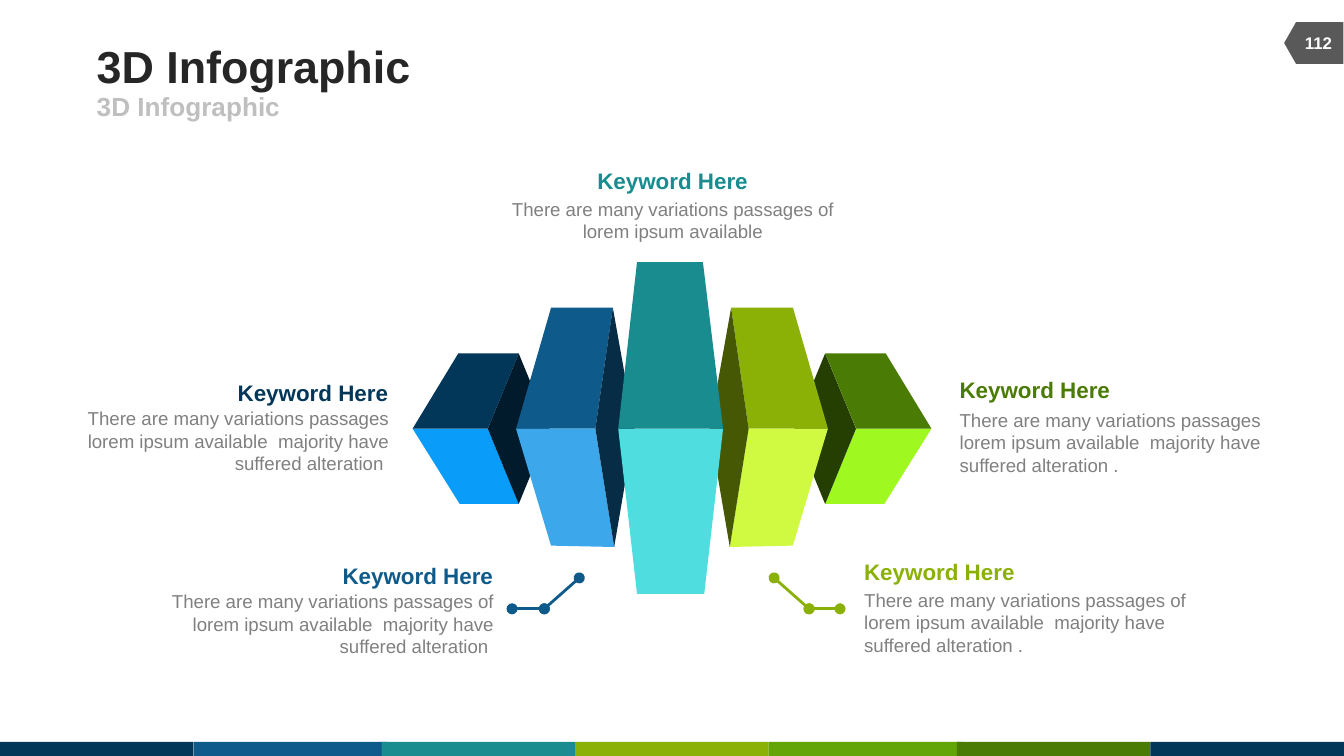
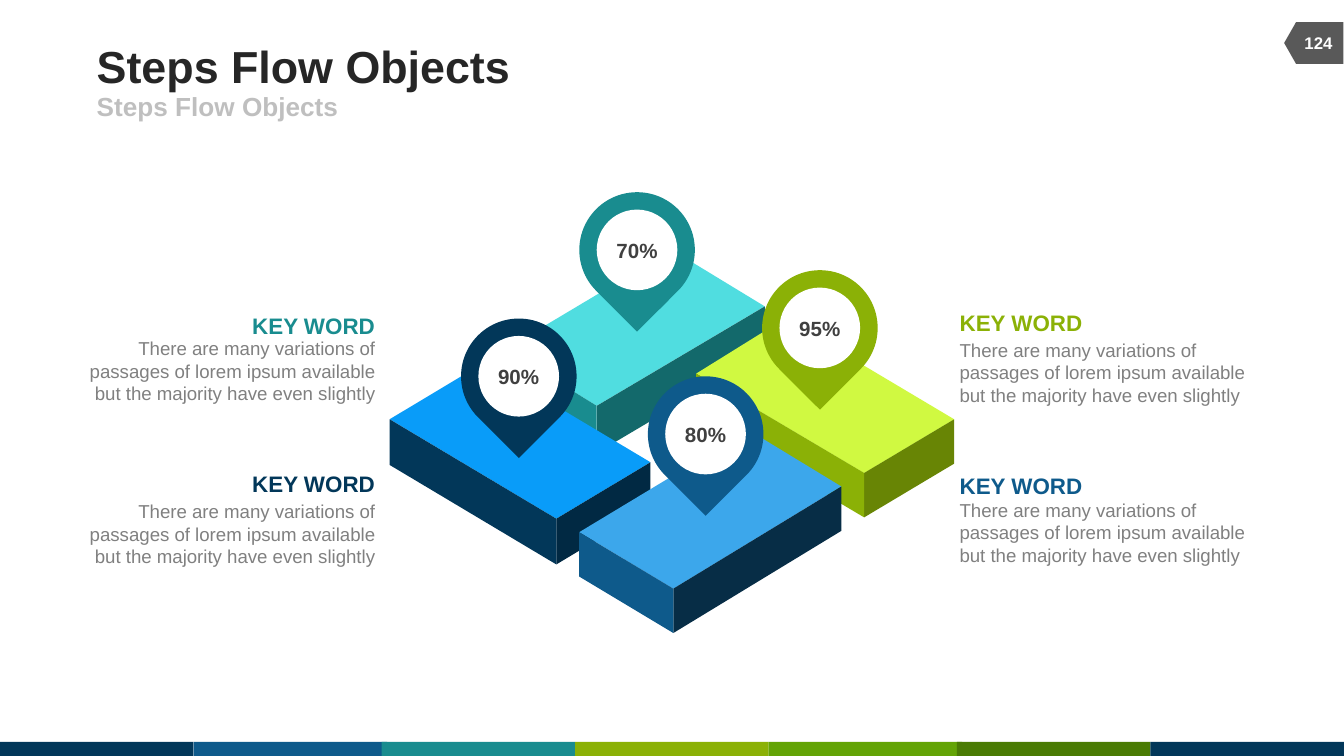
from dataclasses import dataclass
from itertools import pairwise

from pptx import Presentation
from pptx.dml.color import RGBColor
from pptx.enum.shapes import MSO_CONNECTOR, MSO_SHAPE
from pptx.enum.text import MSO_ANCHOR as Anchor, MSO_AUTO_SIZE as AutoSize, PP_ALIGN as Align
from pptx.oxml.ns import qn
from pptx.shapes.autoshape import Shape
from pptx.slide import Slide
from pptx.util import Inches, Pt

Point = tuple[float, float]
Frame = tuple[float, float, float, float]

SLIDE_WIDTH = 10
SLIDE_HEIGHT = SLIDE_WIDTH * 9 / 16
BAND_TOP = 5.52

NAVY, BLUE, TEAL = "023759", "0E5A8B", "198C8F"
LIME, LEAF, GREEN = "8BB106", "63A406", "4A7B04"
SKY, AZURE, AQUA, YELLOW = "099CF9", "3CA7EB", "50DDE0", "D0F941"
DEEP_BLUE = "072D46"
WHITE, INK, SUBTITLE, BODY, TAG, PERCENT = "FFFFFF", "262626", "BFBFBF", "808080", "595959", "404040"
BAND = [(0, NAVY), (1.44, BLUE), (2.84, TEAL), (4.28, LIME), (5.72, LEAF), (7.12, GREEN), (8.56, NAVY)]


@dataclass(frozen=True)
class Style:
    size: float
    color: str
    bold: bool = True
    align: Align = Align.LEFT
    anchor: Anchor = Anchor.MIDDLE


@dataclass(frozen=True)
class Keyword:
    left: float
    heading_top: float
    body_top: float
    width: float
    color: str
    align: Align
    body: str
    body_height: float = 0.5


@dataclass(frozen=True)
class Face:
    color: str
    points: list[Point]


@dataclass(frozen=True)
class Block:
    left: Point
    back: Point
    right: Point
    front: Point
    depth: float
    top_color: str
    left_color: str
    right_color: str


@dataclass(frozen=True)
class Pin:
    left: float
    top: float
    color: str
    label: str


@dataclass(frozen=True)
class Pointer:
    color: str
    points: list[Point]


def rgb(color: str) -> RGBColor:
    return RGBColor.from_string(color)


def paint(shape: Shape, color: str) -> None:
    shape.shadow.inherit = False
    shape.fill.solid()
    shape.fill.fore_color.rgb = rgb(color)
    shape.line.fill.background()


def write(shape: Shape, text: str, style: Style, wrap: bool = True) -> None:
    frame = shape.text_frame
    frame.margin_left = frame.margin_right = frame.margin_top = frame.margin_bottom = 0
    frame.word_wrap = wrap
    frame.vertical_anchor = style.anchor
    paragraph = frame.paragraphs[0]
    paragraph.text = text
    paragraph.alignment = style.align
    paragraph.font.name = "Arial"
    paragraph.font.size = Pt(style.size)
    paragraph.font.bold = style.bold
    paragraph.font.color.rgb = rgb(style.color)


def add_preset(slide: Slide, kind: MSO_SHAPE, frame: Frame, color: str, rotation: float = 0) -> Shape:
    shape = slide.shapes.add_shape(kind, *map(Inches, frame))
    shape.rotation = rotation
    paint(shape, color)
    return shape


def add_text(slide: Slide, frame: Frame, text: str, style: Style, wrap: bool = True) -> Shape:
    box = slide.shapes.add_textbox(*map(Inches, frame))
    write(box, text, style, wrap)
    return box


def add_face(slide: Slide, face: Face) -> None:
    start, *rest = [(Inches(x), Inches(y)) for x, y in face.points]
    builder = slide.shapes.build_freeform(*start)
    builder.add_line_segments(rest, close=True)
    paint(builder.convert_to_shape(), face.color)


def add_block(slide: Slide, block: Block) -> None:
    def lowered(point: Point) -> Point:
        return point[0], point[1] + block.depth

    add_face(slide, Face(block.top_color, [block.left, block.back, block.right, block.front]))
    for corner, color in ((block.right, block.right_color), (block.left, block.left_color)):
        add_face(slide, Face(color, [corner, block.front, lowered(block.front), lowered(corner)]))


def add_pin(slide: Slide, pin: Pin) -> None:
    add_preset(slide, MSO_SHAPE.TEAR, (pin.left, pin.top, 0.86, 0.86), pin.color, 135)
    disc = add_preset(slide, MSO_SHAPE.OVAL, (pin.left + 0.13, pin.top + 0.13, 0.6, 0.6), WHITE)
    write(disc, pin.label, Style(11, PERCENT, align=Align.CENTER))


def add_pointer(slide: Slide, pointer: Pointer) -> None:
    for start, end in pairwise(pointer.points):
        segment = slide.shapes.add_connector(MSO_CONNECTOR.STRAIGHT, *map(Inches, start + end))
        segment.line.color.rgb = rgb(pointer.color)
        segment.line.width = Pt(1.5)
        properties = segment.element.spPr
        outline = properties.find(qn("a:ln"))
        for tag in ("a:headEnd", "a:tailEnd"):
            outline.append(outline.makeelement(qn(tag), {"type": "oval"}))
        properties.append(properties.makeelement(qn("a:effectLst"), {}))


def add_keyword(slide: Slide, item: Keyword, heading: str, heading_width: float, anchor: Anchor) -> None:
    slack = item.width - heading_width
    offset = {Align.LEFT: 0, Align.CENTER: slack / 2, Align.RIGHT: slack}[item.align]
    body = add_text(slide, (item.left, item.body_top, item.width, item.body_height), item.body,
                    Style(10, BODY, False, item.align, anchor))
    title = add_text(slide, (item.left + offset, item.heading_top, heading_width, 0.2), heading,
                     Style(12, item.color, True, item.align, anchor), wrap=False)
    for box in (body, title):
        box.text_frame.auto_size = AutoSize.SHAPE_TO_FIT_TEXT


def start_slide(deck: Presentation, title: str, number: str) -> Slide:
    slide = deck.slides.add_slide(deck.slide_layouts[6])
    for left, color in BAND:
        add_preset(slide, MSO_SHAPE.RECTANGLE, (left, BAND_TOP, 1.44, SLIDE_HEIGHT - BAND_TOP), color)
    add_preset(slide, MSO_SHAPE.FLOWCHART_OFFPAGE_CONNECTOR, (9.62, 0.1, 0.31, 0.44), TAG, 90)
    add_text(slide, (0.72, 0.29, 6.17, 0.39), title, Style(24, INK))
    add_text(slide, (0.72, 0.68, 4.5, 0.22), title, Style(14, SUBTITLE))
    add_text(slide, (9.6, 0.17, 0.42, 0.3), number, Style(9, WHITE, align=Align.CENTER))
    return slide


OUTER_LOWER = [(6.37, 3.19), (6.93, 3.19), (6.58, 3.75), (6.14, 3.75)]
OUTER_SIDE = [(5.91, 3.19), (6.14, 2.63), (6.37, 3.19), (6.14, 3.75)]
OUTER_UPPER = [(6.37, 3.19), (6.14, 2.63), (6.59, 2.63), (6.93, 3.19)]
INNER_UPPER = [(5.44, 2.29), (5.9, 2.29), (6.16, 3.19), (5.57, 3.19)]
INNER_LOWER = [(5.43, 4.07), (5.57, 3.19), (6.16, 3.19), (5.9, 4.06)]
INNER_SIDE = [(5.57, 3.19), (5.43, 4.07), (5.28, 3.19), (5.44, 2.29)]
WING = [OUTER_LOWER, OUTER_SIDE, OUTER_UPPER, INNER_UPPER, INNER_LOWER, INNER_SIDE]
RIGHT_COLORS = ["9FF820", "253E02", GREEN, LIME, YELLOW, "465803"]
LEFT_COLORS = [SKY, "011B2C", NAVY, BLUE, AZURE, DEEP_BLUE]
CENTER = [
    Face(AQUA, [(4.6, 3.19), (5.38, 3.19), (5.24, 4.42), (4.74, 4.42)]),
    Face(TEAL, [(5.38, 3.19), (4.6, 3.19), (4.74, 1.95), (5.23, 1.95)]),
]
POINTERS = [
    Pointer(BLUE, [(4.31, 4.3), (4.05, 4.53), (3.81, 4.53)]),
    Pointer(LIME, [(5.76, 4.3), (6.02, 4.53), (6.25, 4.53)]),
]
PASSAGES = "There are many variations passages"
ALTERATION = "lorem ipsum available  majority have suffered alteration "
INFOGRAPHIC_KEYWORDS = [
    Keyword(6.43, 4.15, 4.38, 2.49, LIME, Align.LEFT, f"{PASSAGES} of {ALTERATION}."),
    Keyword(7.14, 2.8, 3.04, 2.49, GREEN, Align.LEFT, f"{PASSAGES} {ALTERATION}."),
    Keyword(3.76, 1.24, 1.47, 2.49, TEAL, Align.CENTER, f"{PASSAGES} of lorem ipsum available", 0.34),
    Keyword(1.18, 4.18, 4.39, 2.49, BLUE, Align.RIGHT, f"{PASSAGES} of {ALTERATION}"),
    Keyword(0.59, 2.82, 3.03, 2.3, NAVY, Align.RIGHT, f"{PASSAGES} {ALTERATION}"),
]

BLOCKS = [
    Block((3.76, 2.6), (5, 1.86), (5.69, 2.28), (4.44, 3.02), 0.35, AQUA, TEAL, "13696B"),
    Block((5.18, 2.78), (5.84, 2.37), (7.1, 3.12), (6.43, 3.52), 0.33, YELLOW, LIME, "688505"),
    Block((2.9, 3.12), (3.6, 2.7), (4.84, 3.44), (4.14, 3.86), 0.34, SKY, NAVY, "012943"),
    Block((4.31, 3.96), (5.57, 3.2), (6.26, 3.62), (5.01, 4.38), 0.33, AZURE, BLUE, DEEP_BLUE),
]
PINS = [
    Pin(3.43, 2.37, NAVY, "90%"),
    Pin(4.82, 2.8, BLUE, "80%"),
    Pin(4.31, 1.43, TEAL, "70%"),
    Pin(5.67, 2.01, LIME, "95%"),
]
STEP_BODY = "There are many variations of passages of lorem ipsum available but the majority have even slightly"
STEP_KEYWORDS = [
    Keyword(7.14, 3.51, 3.71, 2.13, BLUE, Align.LEFT, STEP_BODY),
    Keyword(7.14, 2.3, 2.52, 2.13, LIME, Align.LEFT, STEP_BODY),
    Keyword(0.66, 3.5, 3.72, 2.13, NAVY, Align.RIGHT, STEP_BODY),
    Keyword(0.66, 2.32, 2.51, 2.13, TEAL, Align.RIGHT, STEP_BODY),
]


def build_infographic(deck: Presentation) -> None:
    slide = start_slide(deck, "3D Infographic", "112")
    for color, points in zip(RIGHT_COLORS, WING):
        add_face(slide, Face(color, points))
    for color, points in zip(LEFT_COLORS, WING):
        add_face(slide, Face(color, [(SLIDE_WIDTH - x, y) for x, y in points]))
    for face in CENTER:
        add_face(slide, face)
    for pointer in POINTERS:
        add_pointer(slide, pointer)
    for item in INFOGRAPHIC_KEYWORDS:
        add_keyword(slide, item, "Keyword Here", 1.13, Anchor.TOP)


def build_steps(deck: Presentation) -> None:
    slide = start_slide(deck, "Steps Flow Objects", "124")
    for block in BLOCKS:
        add_block(slide, block)
    for pin in PINS:
        add_pin(slide, pin)
    for item in STEP_KEYWORDS:
        add_keyword(slide, item, "KEY WORD", 0.92, Anchor.MIDDLE)


def main() -> None:
    deck = Presentation()
    deck.slide_width, deck.slide_height = Inches(SLIDE_WIDTH), Inches(SLIDE_HEIGHT)
    build_infographic(deck)
    build_steps(deck)
    deck.save("out.pptx")


if __name__ == "__main__":
    main()
